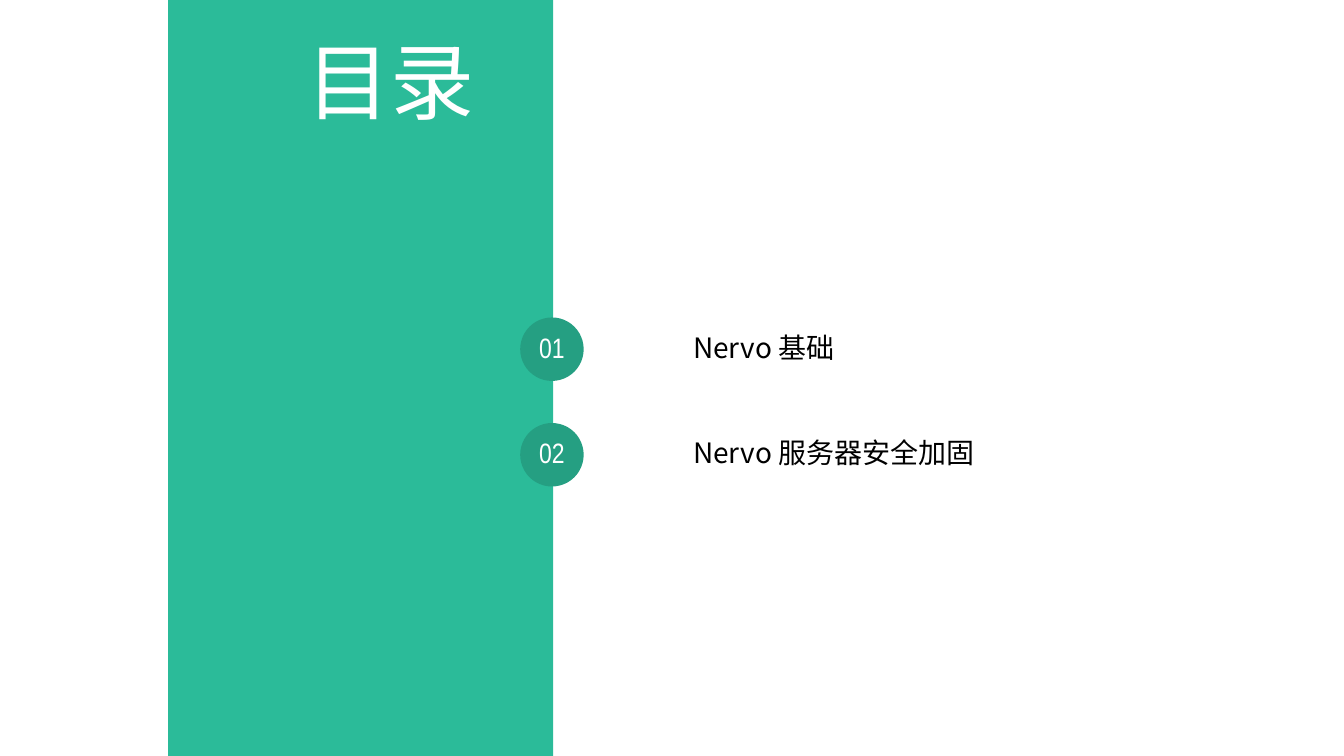
from pptx import Presentation
from pptx.dml.color import RGBColor
from pptx.enum.shapes import MSO_SHAPE
from pptx.enum.text import MSO_ANCHOR, PP_ALIGN
from pptx.oxml.xmlchemy import OxmlElement
from pptx.util import Cm, Pt

# Content
HEADING = "目录"
CHAPTERS = ["Nervo 基础", "Nervo 服务器安全加固"]

# Look
GREEN = RGBColor(0x2B, 0xBB, 0x99)
DARK_GREEN = RGBColor(0x25, 0x9F, 0x82)
WHITE = RGBColor(0xFF, 0xFF, 0xFF)
BLACK = RGBColor(0, 0, 0)
NARROW = "Arial Narrow"
CJK = "Noto Sans CJK SC"
RECTANGLE, OVAL = MSO_SHAPE.RECTANGLE, MSO_SHAPE.OVAL
MIDDLE = MSO_ANCHOR.MIDDLE
LEFT, CENTER = PP_ALIGN.LEFT, PP_ALIGN.CENTER

# Layout in centimetres
SLIDE_WIDTH, SLIDE_HEIGHT = 33.87, 19.05
BADGE_LEFT, BADGE_SIZE = 13.11, 1.6
LABEL_LEFT, LABEL_WIDTH, LABEL_HEIGHT = 17.22, 10.95, 1.5
FIRST_CENTRE, CHAPTER_PITCH = 8.8, 2.66

deck = Presentation()
deck.slide_width, deck.slide_height = Cm(SLIDE_WIDTH), Cm(SLIDE_HEIGHT)
slide = deck.slides.add_slide(deck.slide_layouts[6])


def add_filled(kind, left, top, width, height, color):
    part = slide.shapes.add_shape(kind, Cm(left), Cm(top), Cm(width), Cm(height))
    part.shadow.inherit = False
    part.fill.solid()
    part.fill.fore_color.rgb = color
    part.line.fill.background()
    return part


def add_box(left, top, width, height):
    return slide.shapes.add_textbox(Cm(left), Cm(top), Cm(width), Cm(height))


def write(part, text, *, size=20, font=CJK, color=BLACK, align=LEFT, inset=None):
    frame = part.text_frame
    frame.word_wrap = True
    frame.vertical_anchor = MIDDLE
    if inset is not None:
        frame.margin_left = frame.margin_right = Cm(inset)
        frame.margin_top = frame.margin_bottom = Cm(inset)
    paragraph = frame.paragraphs[0]
    paragraph.alignment = align
    paragraph.line_spacing = 0.9
    run = paragraph.add_run()
    run.text = text
    run.font.size = Pt(size)
    run.font.name = font
    run.font.color.rgb = color
    east_asian = OxmlElement("a:ea")
    east_asian.set("typeface", CJK)
    run.font._element.append(east_asian)


# Green band and heading
add_filled(RECTANGLE, 4.24, 0, 9.7, SLIDE_HEIGHT, GREEN)
write(add_box(7.47, 0.69, 4.83, 2.95), HEADING, size=60, font=NARROW, color=WHITE)

# Numbered chapters, each badge centred on its label
for index, chapter in enumerate(CHAPTERS):
    centre = FIRST_CENTRE + index * CHAPTER_PITCH
    badge = add_filled(OVAL, BADGE_LEFT, centre - BADGE_SIZE / 2,
                       BADGE_SIZE, BADGE_SIZE, DARK_GREEN)
    write(badge, f"{index + 1:02}", font=NARROW, color=WHITE, align=CENTER, inset=0)
    label = add_box(LABEL_LEFT, centre - LABEL_HEIGHT / 2, LABEL_WIDTH, LABEL_HEIGHT)
    write(label, chapter)

deck.save("out.pptx")
